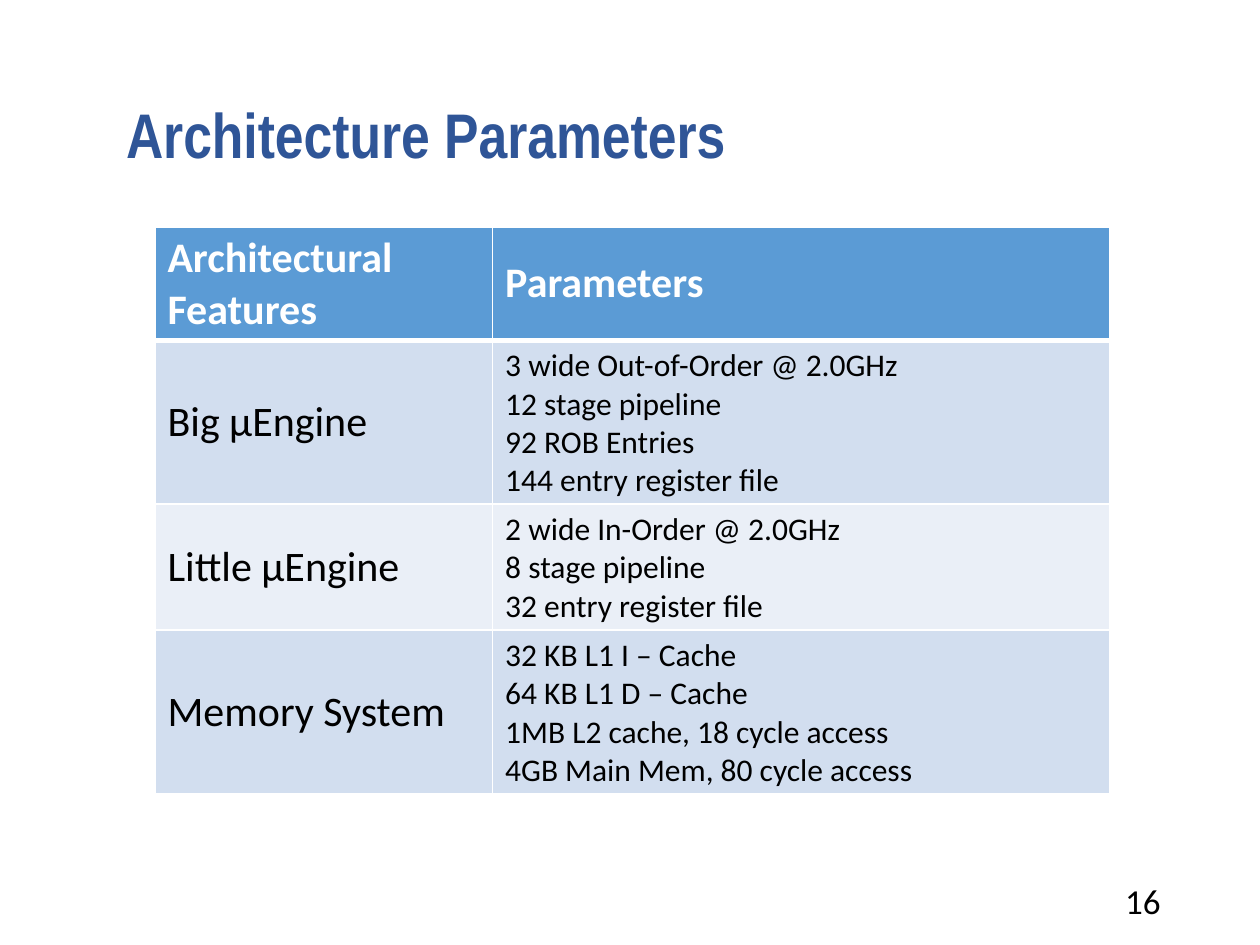
import pptx
import pptx.util
import pptx.dml.color
import pptx.enum.text
import pptx.oxml
import pptx.oxml.ns
from pptx.util import Inches

COLORS = {"title": "2F5597", "header": "5B9BD5", "odd": "D2DEEF",
          "even": "EAEFF7", "white": "FFFFFF", "black": "000000"}
ANCHOR = pptx.enum.text.MSO_ANCHOR
ALIGN = pptx.enum.text.PP_ALIGN

ROWS = [
    ("Architectural Features", "Parameters"),
    ("Big μEngine", "3 wide Out-of-Order @ 2.0GHz\n12 stage pipeline\n"
                    "92 ROB Entries\n144 entry register file"),
    ("Little μEngine", "2 wide In-Order @ 2.0GHz\n8 stage pipeline\n"
                       "32 entry register file"),
    ("Memory System", "32 KB L1 I – Cache\n64 KB L1 D – Cache\n"
                      "1MB L2 cache, 18 cycle access\n"
                      "4GB Main Mem, 80 cycle access"),
]
COL_WIDTHS = [2.68, 4.9]
ROW_HEIGHTS = [0.9, 1.3, 1.0, 1.3]


def format_text(tf, size, color, font="Calibri", bold=False, align=ALIGN.LEFT):
    for p in tf.paragraphs:
        p.alignment = align
        for r in p.runs:
            r.font.name = font
            r.font.size = pptx.util.Pt(size)
            r.font.bold = bold
            r.font.color.rgb = pptx.dml.color.RGBColor.from_string(COLORS[color])


def set_borders(cell, bottom):
    """Draw white cell borders, 1 pt except for the given bottom width."""
    tcPr = cell._tc.get_or_add_tcPr()
    widths = {"lnL": 1, "lnR": 1, "lnT": 1, "lnB": bottom}
    for i, (side, width) in enumerate(widths.items()):
        tcPr.insert(i, pptx.oxml.parse_xml(
            f'<a:{side} {pptx.oxml.ns.nsdecls("a")} w="{pptx.util.Pt(width)}">'
            f'<a:solidFill><a:srgbClr val="{COLORS["white"]}"/></a:solidFill>'
            f'</a:{side}>'))


prs = pptx.Presentation()
prs.slide_width = Inches(10)
prs.slide_height = Inches(7.5)
s = prs.slides.add_slide(prs.slide_layouts[5])

# Title
title = s.shapes.title
title.left, title.top = Inches(0.9), Inches(0.71)
title.width, title.height = Inches(5.01), Inches(0.71)
tf = title.text_frame
tf.text = "Architecture Parameters"
tf.word_wrap = False
tf.auto_size = pptx.enum.text.MSO_AUTO_SIZE.SHAPE_TO_FIT_TEXT
tf.vertical_anchor = ANCHOR.TOP
format_text(tf, 36, "title", "Arial Narrow", bold=True)

# Parameter table
table = s.shapes.add_table(len(ROWS), len(COL_WIDTHS), Inches(1.23), Inches(1.8),
                           Inches(sum(COL_WIDTHS)), Inches(sum(ROW_HEIGHTS))).table
for col, width in zip(table.columns, COL_WIDTHS):
    col.width = Inches(width)
for i, texts in enumerate(ROWS):
    table.rows[i].height = Inches(ROW_HEIGHTS[i])
    header = i == 0
    fill = "header" if header else "odd" if i % 2 else "even"
    for j, text in enumerate(texts):
        cell = table.cell(i, j)
        cell.text_frame.text = text
        cell.vertical_anchor = ANCHOR.MIDDLE if header or j == 0 else ANCHOR.TOP
        cell.fill.solid()
        cell.fill.fore_color.rgb = pptx.dml.color.RGBColor.from_string(COLORS[fill])
        set_borders(cell, bottom=3 if header else 1)
        format_text(cell.text_frame, 24 if header or j == 0 else 18,
                    "white" if header else "black", bold=header)

# Slide number
number = s.shapes.add_textbox(Inches(7.06), Inches(6.95), Inches(2.25), Inches(0.4))
tf = number.text_frame
tf.text = "16"
tf.word_wrap = True
tf.vertical_anchor = ANCHOR.MIDDLE
format_text(tf, 20, "black", align=ALIGN.RIGHT)

prs.save("out.pptx")
